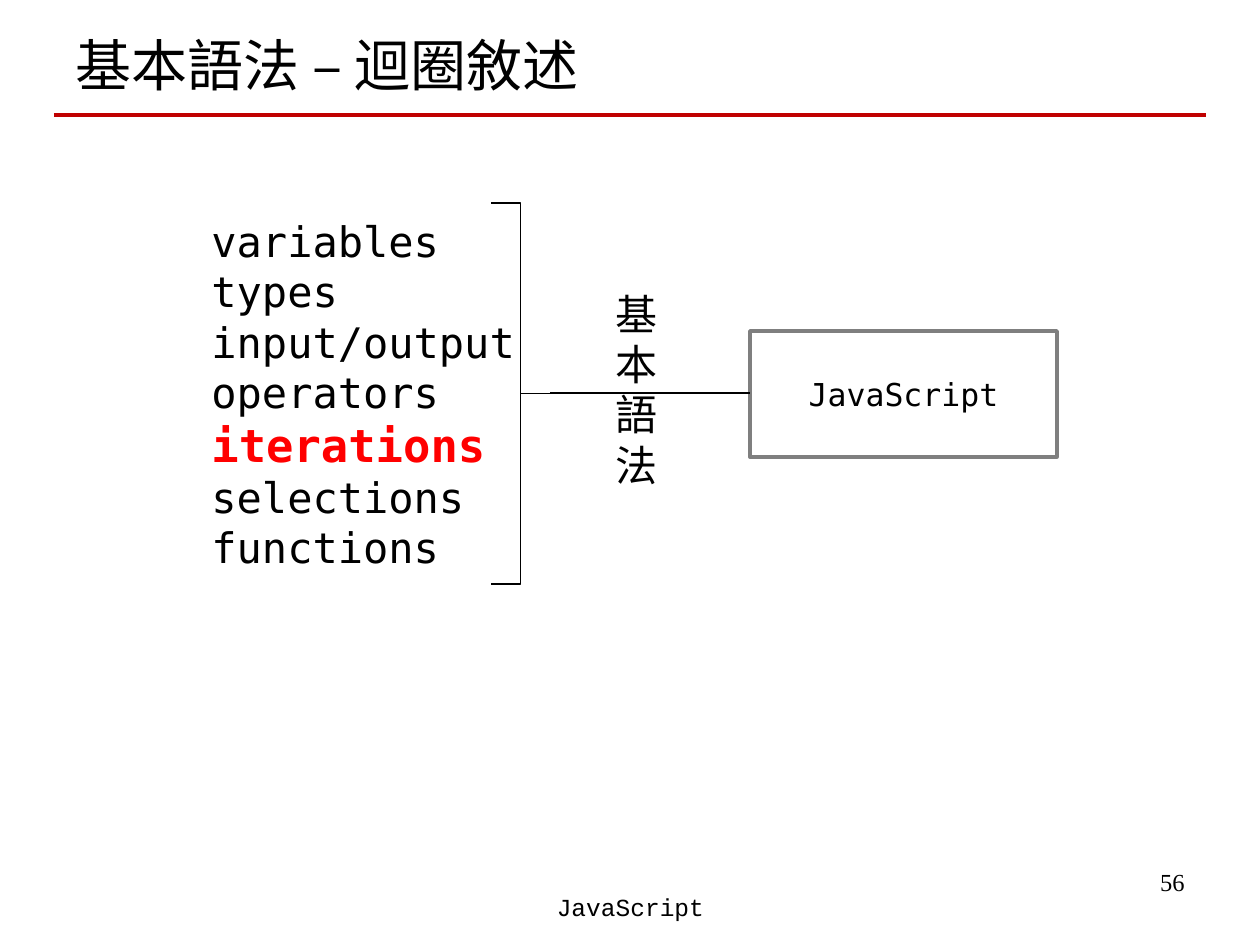
from typing import NamedTuple

from lxml import etree
from pptx import Presentation
from pptx import util as u
from pptx.dml.color import RGBColor
from pptx.enum import shapes, text
from pptx.oxml.ns import qn

PX_PER_INCH = 126
BLACK = RGBColor(0x00, 0x00, 0x00)
RED = RGBColor(0xFF, 0x00, 0x00)
DARK_RED = RGBColor(0xC0, 0x00, 0x00)
GREY = RGBColor(0x7F, 0x7F, 0x7F)
MONO = "DejaVu Sans Mono"
ALIGN = text.PP_ALIGN


class Box(NamedTuple):
    left: int
    top: int
    width: int
    height: int


class Style(NamedTuple):
    size: int
    font: str = MONO
    color: RGBColor = BLACK
    bold: bool = False


class Label(NamedTuple):
    box: Box
    paragraphs: list[list[str]]
    style: Style
    align: ALIGN = ALIGN.LEFT


class Line(NamedTuple):
    start: tuple[int, int]
    end: tuple[int, int]
    color: RGBColor
    width: float


TOPIC = Style(24)
CURRENT_TOPIC = Style(26, color=RED, bold=True)
HIGHLIGHTS = {"iterations": CURRENT_TOPIC}

TITLE = Label(Box(63, 16, 1134, 96), [["基本語法 – 迴圈敘述"]], Style(32))
LANGUAGE = Label(Box(750, 331, 307, 126), [["JavaScript"]], Style(18), ALIGN.CENTER)
LABELS = [
    Label(Box(903, 861, 294, 66), [["56"]], Style(14, "Times New Roman"), ALIGN.RIGHT),
    Label(Box(431, 886, 399, 63), [["JavaScript"]], Style(14, "Courier New"), ALIGN.CENTER),
    Label(
        Box(199, 209, 382, 373),
        [["variables"], ["types"], ["input/output", "operators", "iterations"],
         ["selections"], ["functions"]],
        TOPIC,
    ),
    Label(Box(603, 282, 77, 229), [["基本語法"]], TOPIC),
]
BRACE = Box(491, 203, 59, 381)
LINES = [
    Line((54, 115), (1206, 115), DARK_RED, 2.25),
    Line((750, 393), (550, 393), BLACK, 0.75),
]


def px(value: int) -> u.Emu:
    return u.Emu(round(value * u.Inches(1) / PX_PER_INCH))


def emu(box: Box) -> list[u.Emu]:
    return [px(value) for value in box]


def write(sp, label: Label, anchor=text.MSO_ANCHOR.TOP) -> None:
    """Fill a shape; each paragraph is a list of lines split by line breaks."""
    tf = sp.text_frame
    tf.word_wrap = True
    tf.auto_size = text.MSO_AUTO_SIZE.NONE
    tf.vertical_anchor = anchor
    for i, lines in enumerate(label.paragraphs):
        p = tf.add_paragraph() if i else tf.paragraphs[0]
        p.alignment = label.align
        for j, words in enumerate(lines):
            if j:
                p.add_line_break()
            style = HIGHLIGHTS.get(words, label.style)
            r = p.add_run()
            r.text = words
            r.font.size = u.Pt(style.size)
            r.font.name = style.font
            r.font.color.rgb = style.color
            r.font.bold = style.bold


def add_outline(s, kind, box: Box, color: RGBColor, width: float):
    sp = s.shapes.add_shape(kind, *emu(box))
    sp.shadow.inherit = False
    sp.fill.background()
    sp.line.color.rgb = color
    sp.line.width = u.Pt(width)
    return sp


def add_line(s, line: Line) -> None:
    ends = [px(value) for value in line.start + line.end]
    sp = s.shapes.add_connector(shapes.MSO_CONNECTOR.STRAIGHT, *ends)
    sp.line.color.rgb = line.color
    sp.line.width = u.Pt(line.width)
    etree.SubElement(sp._element.spPr, qn("a:effectLst"))


def main() -> None:
    prs = Presentation()
    prs.slide_width, prs.slide_height = u.Inches(10), u.Inches(7.5)
    s = prs.slides.add_slide(prs.slide_layouts[5])

    title = s.shapes.title
    title.left, title.top, title.width, title.height = emu(TITLE.box)
    write(title, TITLE, text.MSO_ANCHOR.MIDDLE)

    brace = add_outline(s, shapes.MSO_SHAPE.RIGHT_BRACE, BRACE, BLACK, 0.75)
    brace.adjustments[0] = 0
    brace.adjustments[1] = 0.5
    language = add_outline(s, shapes.MSO_SHAPE.RECTANGLE, LANGUAGE.box, GREY, 2)
    write(language, LANGUAGE, text.MSO_ANCHOR.MIDDLE)

    for label in LABELS:
        write(s.shapes.add_textbox(*emu(label.box)), label)
    for line in LINES:
        add_line(s, line)

    prs.save("out.pptx")


if __name__ == "__main__":
    main()
